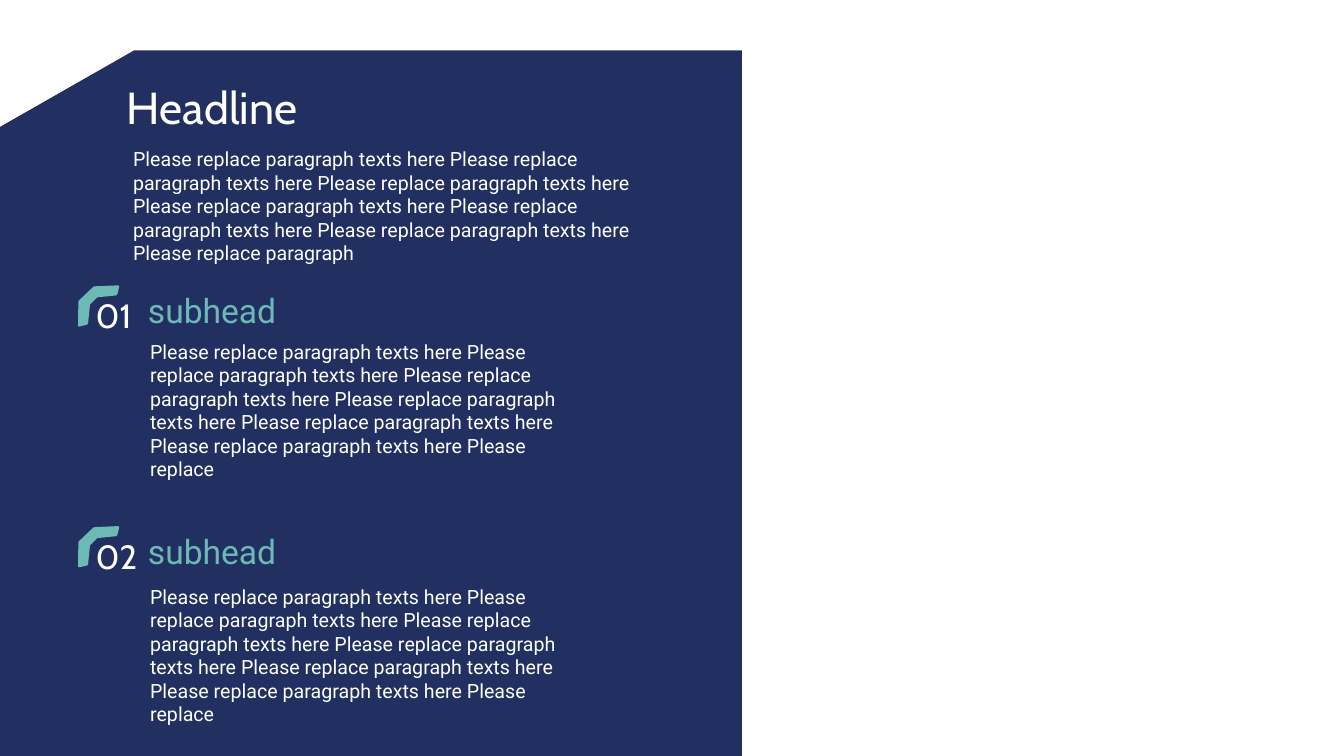
import pptx
import pptx.dml.color
import pptx.enum.text
import pptx.util
from pptx.oxml.xmlchemy import OxmlElement

COLORS = {"navy": "222F61", "teal": "6CB9B6", "white": "FFFFFF"}
HEADLINE_FONT, BODY_FONT = "Cabin", "Roboto"

HEADLINE = "Headline"
SENTENCE = "Please replace paragraph texts here "
INTRO = SENTENCE * 6 + "Please replace paragraph"
ITEM_TEXT = SENTENCE * 6 + "Please replace"
# number, subhead, text, distance from the item's top to its text
ITEMS = [
    ("01", "subhead", ITEM_TEXT, 35.2),
    ("02", "subhead", ITEM_TEXT, 38.2),
]

# Lengths in points
SLIDE_SIZE = (960, 540)
PANEL = [(0, 540), (530, 540), (530, 36), (95.8, 36), (0, 90.7)]
BRACKET = [
    (13.7, 8.6), (27.4, 7.2), (28.1, 6.5), (29.5, 0.7), (28.8, 0),
    (12.2, 0.7), (11, 1), (0.7, 10.8), (0.3, 11.5), (0, 28.8),
    (0.7, 29.5), (6.5, 28.1), (7.2, 27.4), (8.6, 13.7),
]
HEADLINE_BOX = (83.5, 53.3, 432, 46)
INTRO_BOX = (83.5, 101.5, 396.7, 75)
FIRST_ITEM_TOP, ITEM_STEP = 203.8, 172
BRACKET_LEFT, NUMBER_LEFT, SUBHEAD_LEFT, TEXT_LEFT = 55.7, 61.2, 98.6, 95.8
NUMBER_DROP = 3.6
TEXT_INDENT = 4.3


def color(name):
    return pptx.dml.color.RGBColor.from_string(COLORS[name])


def add_outline(slide, points, fill, left=0, top=0):
    corners = [(pptx.util.Pt(left + x), pptx.util.Pt(top + y)) for x, y in points]
    builder = slide.shapes.build_freeform(*corners[0])
    builder.add_line_segments(corners[1:], close=True)
    shape = builder.convert_to_shape()
    shape.shadow.inherit = False
    shape.fill.solid()
    shape.fill.fore_color.rgb = color(fill)
    shape.line.fill.background()
    return shape


def write(shape, box, text, size, font, ink, indent=0):
    """Place a text box or placeholder and fill it with one plain paragraph."""
    shape.left, shape.top, shape.width, shape.height = map(pptx.util.Pt, box)
    frame = shape.text_frame
    frame.text = text
    frame.word_wrap = True
    frame.auto_size = pptx.enum.text.MSO_AUTO_SIZE.NONE
    frame.vertical_anchor = pptx.enum.text.MSO_ANCHOR.TOP
    paragraph = frame.paragraphs[0]
    paragraph.alignment = pptx.enum.text.PP_ALIGN.LEFT
    paragraph.space_before = pptx.util.Pt(0)
    properties = paragraph._p.get_or_add_pPr()
    properties.set("marL", str(pptx.util.Pt(indent)))
    properties.set("indent", "0")
    properties.append(OxmlElement("a:buNone"))
    run = paragraph.runs[0]
    run.font.size = pptx.util.Pt(size)
    run.font.name = font
    run.font.color.rgb = color(ink)


def add_text(slide, box, *style, **options):
    write(slide.shapes.add_textbox(0, 0, 0, 0), box, *style, **options)


def add_item(slide, top, number, subhead, text, text_drop):
    add_outline(slide, BRACKET, "teal", BRACKET_LEFT, top)
    add_text(slide, (NUMBER_LEFT, top + NUMBER_DROP, 65.5, 36),
             number, 24, HEADLINE_FONT, "white")
    add_text(slide, (SUBHEAD_LEFT, top, 250, 36), subhead, 24, BODY_FONT, "teal")
    add_text(slide, (TEXT_LEFT, top + text_drop, 323.3, 92),
             text, 14, BODY_FONT, "white", indent=TEXT_INDENT)


def main():
    presentation = pptx.Presentation()
    presentation.slide_width, presentation.slide_height = map(pptx.util.Pt, SLIDE_SIZE)
    slide = presentation.slides.add_slide(presentation.slide_layouts[1])

    panel = add_outline(slide, PANEL, "navy")
    slide.shapes.title.element.addprevious(panel.element)  # behind the placeholders

    write(slide.shapes.title, HEADLINE_BOX, HEADLINE, 32, HEADLINE_FONT, "white")
    write(slide.placeholders[1], INTRO_BOX, INTRO, 14, BODY_FONT, "white",
          indent=TEXT_INDENT)
    for index, item in enumerate(ITEMS):
        add_item(slide, FIRST_ITEM_TOP + index * ITEM_STEP, *item)

    presentation.save("out.pptx")


if __name__ == "__main__":
    main()
